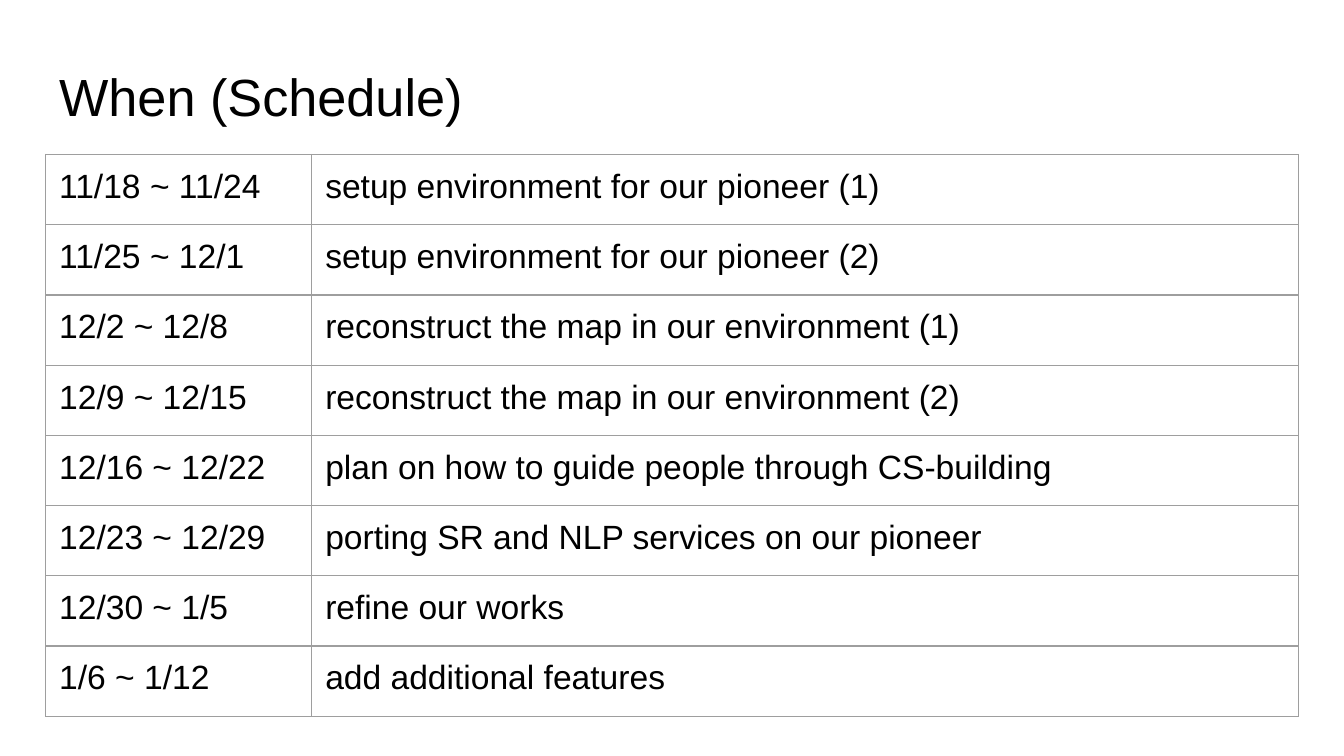
from typing import NamedTuple

from lxml.etree import SubElement
from pptx import Presentation
from pptx.dml.color import RGBColor
from pptx.enum.text import MSO_ANCHOR, PP_ALIGN
from pptx.oxml.ns import qn
from pptx.util import Inches, Pt

BLACK = RGBColor(0x00, 0x00, 0x00)
GREY = RGBColor(0x9E, 0x9E, 0x9E)

SLIDE_WIDTH = Inches(10)
SLIDE_HEIGHT = SLIDE_WIDTH * 9 // 16
SIDE_MARGIN = Inches(0.34)
CONTENT_WIDTH = SLIDE_WIDTH - 2 * SIDE_MARGIN
DATE_WIDTH = Inches(1.98)
TABLE_TOP, TABLE_HEIGHT = Inches(1.15), Inches(4.18)
INSETS = {f"margin_{side}": Inches(0.1) for side in ("left", "right", "top", "bottom")}


class Week(NamedTuple):
    dates: str
    task: str


SCHEDULE = [
    Week("11/18 ~ 11/24", "setup environment for our pioneer (1)"),
    Week("11/25 ~ 12/1", "setup environment for our pioneer (2)"),
    Week("12/2 ~ 12/8", "reconstruct the map in our environment (1)"),
    Week("12/9 ~ 12/15", "reconstruct the map in our environment (2)"),
    Week("12/16 ~ 12/22", "plan on how to guide people through CS-building"),
    Week("12/23 ~ 12/29", "porting SR and NLP services on our pioneer"),
    Week("12/30 ~ 1/5", "refine our works"),
    Week("1/6 ~ 1/12", "add additional features"),
]


def set_attributes(target, values: dict) -> None:
    for name, value in values.items():
        setattr(target, name, value)


def write_text(text_frame, text: str, size: int) -> None:
    paragraph = text_frame.paragraphs[0]
    paragraph.alignment = PP_ALIGN.LEFT
    run = paragraph.add_run()
    run.text = text
    set_attributes(run.font, {"name": "Arial", "size": Pt(size), "bold": False})
    run.font.color.rgb = BLACK


def add_borders(cell) -> None:
    """Outline all four sides; call before the fill is set, as lines come first."""
    properties = cell._tc.get_or_add_tcPr()
    for side in ("a:lnL", "a:lnR", "a:lnT", "a:lnB"):
        line = SubElement(properties, qn(side), w=str(Pt(0.75)))
        fill = SubElement(line, qn("a:solidFill"))
        SubElement(fill, qn("a:srgbClr"), val=str(GREY))


def add_title(slide, text: str) -> None:
    title = slide.shapes.title
    set_attributes(title, {"left": SIDE_MARGIN, "top": Inches(0.38),
                           "width": CONTENT_WIDTH, "height": Inches(0.63)})
    set_attributes(title.text_frame, INSETS | {
        "vertical_anchor": MSO_ANCHOR.TOP, "word_wrap": True})
    write_text(title.text_frame, text, 28)


def add_schedule(slide, weeks: list[Week]) -> None:
    table = slide.shapes.add_table(len(weeks), len(Week._fields), SIDE_MARGIN, TABLE_TOP,
                                   CONTENT_WIDTH, TABLE_HEIGHT).table
    set_attributes(table, {"first_row": False, "horz_banding": False})
    table.columns[0].width = DATE_WIDTH
    table.columns[1].width = CONTENT_WIDTH - DATE_WIDTH
    for row, week in zip(table.rows, weeks):
        for cell, text in zip(row.cells, week):
            set_attributes(cell, INSETS)
            add_borders(cell)
            cell.fill.background()
            write_text(cell.text_frame, text, 18)


def main() -> None:
    presentation = Presentation()
    set_attributes(presentation, {"slide_width": SLIDE_WIDTH, "slide_height": SLIDE_HEIGHT})
    slide = presentation.slides.add_slide(presentation.slide_layouts.get_by_name("Title Only"))
    add_title(slide, "When (Schedule)")
    add_schedule(slide, SCHEDULE)
    presentation.save("out.pptx")


if __name__ == "__main__":
    main()
